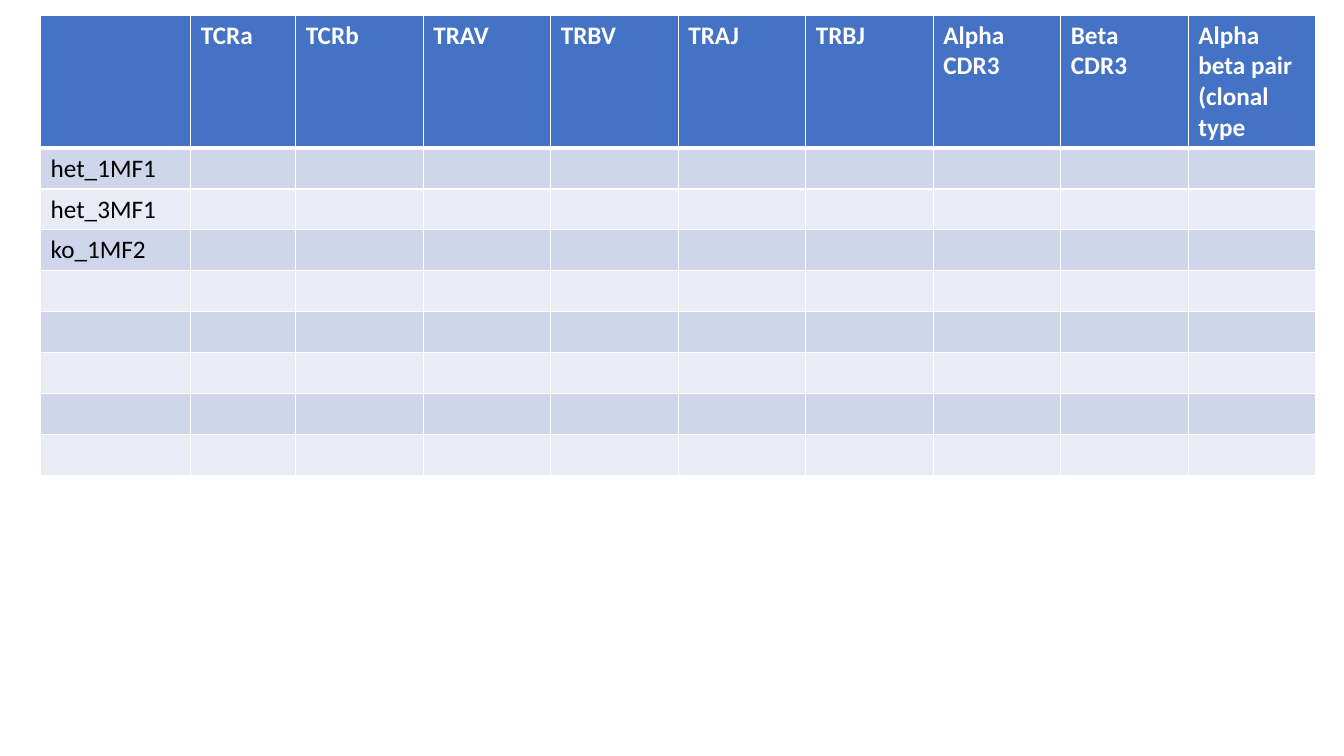
"""Build a slide with a table of T-cell receptor clones per sample."""
from dataclasses import dataclass

from lxml import etree
from pptx import Presentation
from pptx.dml.color import RGBColor
from pptx.oxml.ns import qn
from pptx.table import _Cell
from pptx.util import Pt

WHITE = RGBColor(0xFF, 0xFF, 0xFF)
BLACK = RGBColor(0x00, 0x00, 0x00)
HEADER_BLUE = RGBColor(0x44, 0x72, 0xC4)
BAND_DARK = RGBColor(0xCF, 0xD5, 0xEA)
BAND_LIGHT = RGBColor(0xE9, 0xEB, 0xF5)

HEADINGS = ["", "TCRa", "TCRb", "TRAV", "TRBV", "TRAJ", "TRBJ",
            "Alpha CDR3", "Beta CDR3", "Alpha beta pair (clonal type"]
SAMPLES = ["het_1MF1", "het_3MF1", "ko_1MF2"]
BODY_ROWS = 8
COLUMN_WIDTHS = [107.3, 75] + [91.1] * 8
HEADER_HEIGHT = 95
BODY_HEIGHT = 29.2
TABLE_LEFT = 29
TABLE_TOP = 10.7
THIN = 1
THICK = 3


@dataclass(frozen=True)
class RowStyle:
    """Look of one table row."""
    fill: RGBColor
    color: RGBColor
    bold: bool
    top: float = THIN
    bottom: float = THIN


HEADER = RowStyle(HEADER_BLUE, WHITE, True, bottom=THICK)
FIRST_BODY = RowStyle(BAND_DARK, BLACK, False, top=THICK)
DARK_BODY = RowStyle(BAND_DARK, BLACK, False)
LIGHT_BODY = RowStyle(BAND_LIGHT, BLACK, False)


def add_borders(cell: _Cell, style: RowStyle) -> None:
    """Give the cell white lines on all four sides."""
    properties = cell._tc.get_or_add_tcPr()
    widths = {"a:lnL": THIN, "a:lnR": THIN, "a:lnT": style.top, "a:lnB": style.bottom}
    for tag, width in widths.items():
        line = etree.SubElement(properties, qn(tag), w=str(Pt(width)))
        solid = etree.SubElement(line, qn("a:solidFill"))
        etree.SubElement(solid, qn("a:srgbClr"), val=str(WHITE))


def fill_cell(cell: _Cell, text: str, style: RowStyle) -> None:
    """Write and format one cell."""
    add_borders(cell, style)
    cell.fill.solid()
    cell.fill.fore_color.rgb = style.fill
    if text:
        span = cell.text_frame.paragraphs[0].add_run()
        span.text = text
        font_format = {"name": "Calibri", "size": Pt(18), "bold": style.bold}
        for name, value in font_format.items():
            setattr(span.font, name, value)
        span.font.color.rgb = style.color


def main() -> None:
    """Create the deck and save it."""
    deck = Presentation()
    deck.slide_width, deck.slide_height = Pt(960), Pt(540)
    page = deck.slides.add_slide(deck.slide_layouts[6])

    heights = [HEADER_HEIGHT] + [BODY_HEIGHT] * BODY_ROWS
    styles = [HEADER, FIRST_BODY] + [
        DARK_BODY if index % 2 == 0 else LIGHT_BODY for index in range(1, BODY_ROWS)]
    labels = SAMPLES + [""] * (BODY_ROWS - len(SAMPLES))
    rows = [HEADINGS] + [[label] + [""] * (len(HEADINGS) - 1) for label in labels]

    table = page.shapes.add_table(
        len(rows), len(HEADINGS), Pt(TABLE_LEFT), Pt(TABLE_TOP),
        Pt(sum(COLUMN_WIDTHS)), Pt(sum(heights))).table
    for column, width in zip(table.columns, COLUMN_WIDTHS):
        column.width = Pt(width)
    for row, height, texts, style in zip(table.rows, heights, rows, styles):
        row.height = Pt(height)
        for cell, text in zip(row.cells, texts):
            fill_cell(cell, text, style)

    deck.save("out.pptx")


if __name__ == "__main__":
    main()
